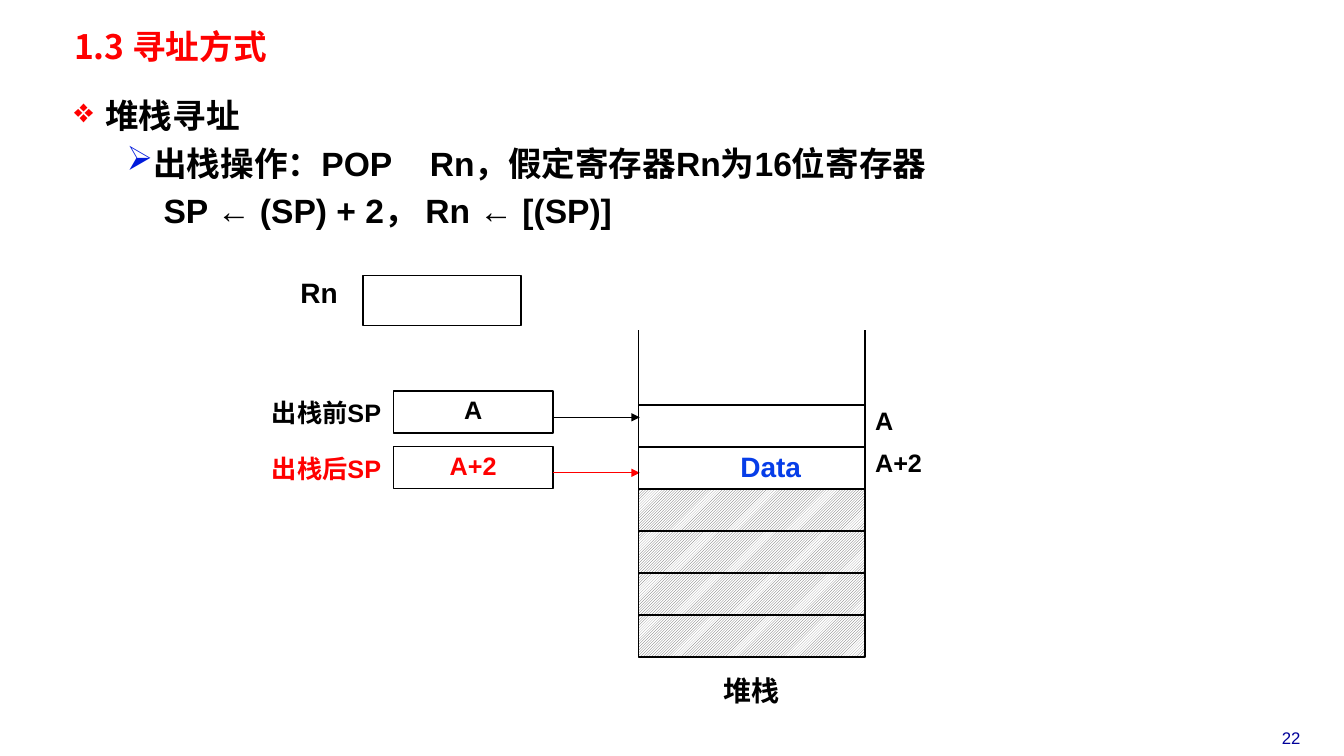
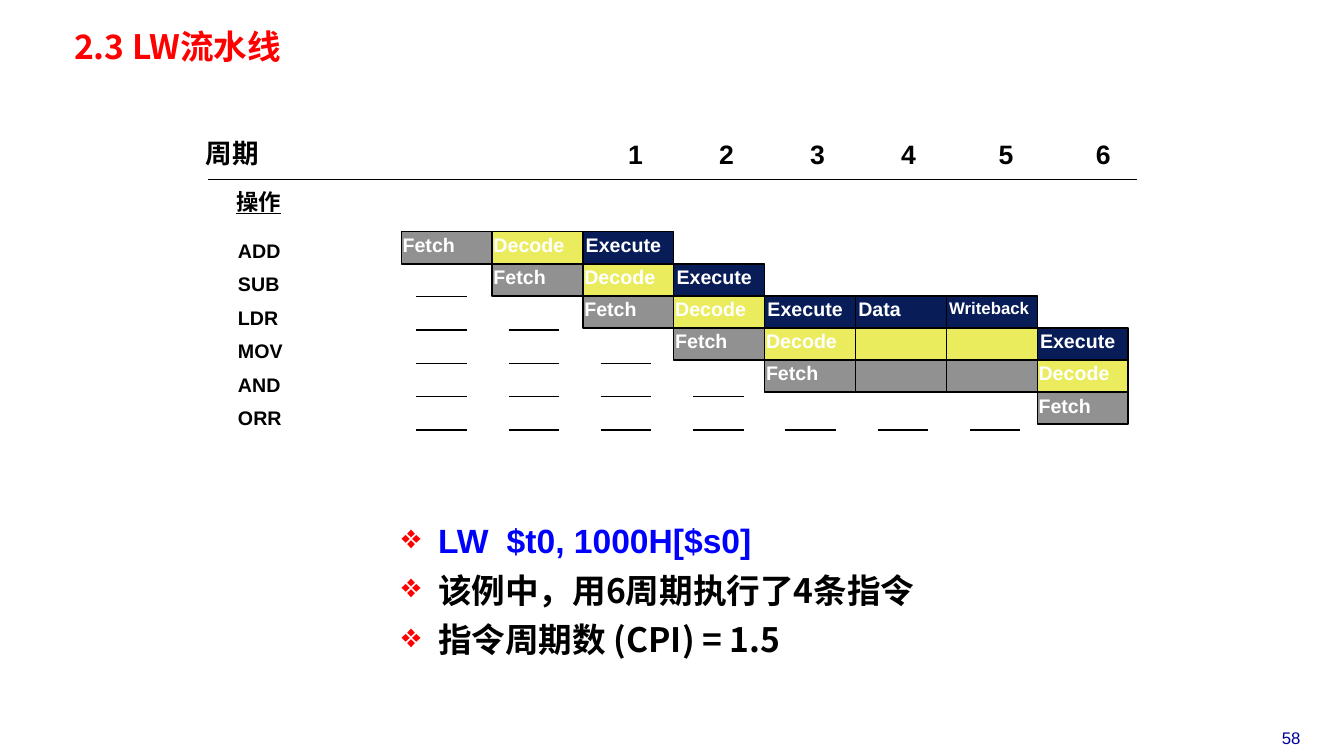
"""Build two lecture slides: stack addressing and the LW pipeline."""
from lxml.etree import SubElement
from pptx import Presentation
from pptx.dml.color import RGBColor
from pptx.enum.dml import MSO_PATTERN as PATTERN
from pptx.enum.shapes import MSO_CONNECTOR as CONNECTOR, MSO_SHAPE as SHAPE
from pptx.enum.text import MSO_ANCHOR as ANCHOR, PP_ALIGN as ALIGN
from pptx.oxml.ns import qn
from pptx.util import Pt

COLORS = {
    "black": "000000", "white": "FFFFFF", "red": "FF0000", "blue": "0000FF",
    "data": "063DE8", "arrow_bullet": "001ADC", "footer": "000099",
    "hatch": "5F5F5F", "gray": "919191", "yellow": "EAEC5E", "navy": "081D58",
}
RGB = {name: RGBColor.from_string(value) for name, value in COLORS.items()}
LATIN, CHINESE = "Arial", "Noto Sans CJK SC"
CENTERED = {"align": ALIGN.CENTER}
TIGHT = {"margins": (5, 2, 5, 2), "spacing": 0.88}
TITLE = TIGHT | {"size": 24, "color": "red", "font": CHINESE}
FOOTER = CENTERED | {"size": 12, "color": "footer", "bold": False, "spacing": 1.0}


def add_box(slide, bounds, paragraphs=(), fill=None, outline=False, **style):
    """Add a text box, or a rectangle when outlined; return the shape."""
    bounds = [Pt(value) for value in bounds]
    if outline:
        shape = slide.shapes.add_shape(SHAPE.RECTANGLE, *bounds)
        shape.shadow.inherit = False
        shape.line.color.rgb = RGB["black"]
        shape.line.width = Pt(1)
        shape.fill.background()
        if fill:
            shape.fill.solid()
            shape.fill.fore_color.rgb = RGB[fill]
    else:
        shape = slide.shapes.add_textbox(*bounds)
    frame = shape.text_frame
    left, top, right, bottom = style.get("margins", (7.2, 3.6, 7.2, 3.6))
    frame_format = {
        "margin_left": Pt(left), "margin_top": Pt(top),
        "margin_right": Pt(right), "margin_bottom": Pt(bottom),
        "word_wrap": True, "vertical_anchor": style.get("anchor", ANCHOR.TOP),
    }
    for name, value in frame_format.items():
        setattr(frame, name, value)
    if isinstance(paragraphs, str):
        paragraphs = [{"text": paragraphs}] if paragraphs else []
    for index, item in enumerate(paragraphs):
        item = style | item
        paragraph = frame.add_paragraph() if index else frame.paragraphs[0]
        paragraph.alignment = item.get("align", ALIGN.LEFT)
        paragraph.line_spacing = item.get("spacing", 0.85)
        properties = paragraph._p.get_or_add_pPr()
        if "indent" in item:
            margin, first = item["indent"]
            properties.set("marL", str(Pt(margin)))
            properties.set("indent", str(Pt(first)))
        if "bullet" in item:
            symbol, bullet_color = item["bullet"]
            color = SubElement(properties, qn("a:buClr"))
            SubElement(color, qn("a:srgbClr"), val=COLORS[bullet_color])
            SubElement(properties, qn("a:buChar"), char=symbol)
        if "tab" in item:
            tabs = SubElement(properties, qn("a:tabLst"))
            SubElement(tabs, qn("a:tab"), pos=str(Pt(item["tab"])), algn="l")
        run = paragraph.add_run()
        run.text = item["text"]
        font_format = {
            "name": item.get("font", LATIN), "size": Pt(item["size"]),
            "bold": item.get("bold", True), "underline": item.get("underline"),
        }
        for name, value in font_format.items():
            setattr(run.font, name, value)
        run.font.color.rgb = RGB[item.get("color", "black")]
        SubElement(run._r.get_or_add_rPr(), qn("a:ea"), typeface=CHINESE)
    return shape


def add_line(slide, start, end, color="black", arrow=False):
    """Add a straight line, with an optional arrowhead at its end."""
    points = [Pt(value) for value in (*start, *end)]
    connector = slide.shapes.add_connector(CONNECTOR.STRAIGHT, *points)
    connector.line.color.rgb = RGB[color]
    connector.line.width = Pt(1)
    if arrow:
        SubElement(connector.get_or_add_ln(), qn("a:tailEnd"), type="triangle")
    SubElement(connector._element.spPr, qn("a:effectLst"))


presentation = Presentation()
presentation.slide_width, presentation.slide_height = Pt(960), Pt(540)
slides = []
for title, number in (("1.3 寻址方式", "22"), ("2.3 LW流水线", "58")):
    slide = presentation.slides.add_slide(presentation.slide_layouts[6])
    add_box(slide, (48, 20, 552, 30), title, **TITLE)
    add_box(slide, (888.5, 516, 67.7, 21.6), number, **FOOTER)
    slides.append(slide)
stack_slide, pipeline_slide = slides

add_box(stack_slide, (48, 60.4, 790, 107), [
    {"text": "堆栈寻址", "indent": (22.3, -22.3), "bullet": ("❖", "red")},
    {"text": "出栈操作：POP\tRn，假定寄存器Rn为16位寄存器", "tab": 254,
     "indent": (52.6, -15.1), "bullet": ("➢", "arrow_bullet")},
    {"text": "SP ← (SP) + 2， Rn ← [(SP)]", "indent": (63.8, 0)},
], size=24, margins=(5, 2, 5, 2), spacing=Pt(34.1))

add_box(stack_slide, (196.6, 196.6, 62.6, 28), "Rn", size=20, **CENTERED)
add_box(stack_slide, (259.2, 196.6, 113, 36), outline=True)

pointers = (("出栈前SP", "A", "black"), ("出栈后SP", "A+2", "red"))
for row, (label, address, color) in enumerate(pointers):
    top = 279.4 + 39.6 * row
    pointer = CENTERED | {"size": 18, "color": color}
    add_box(stack_slide, (185, top + 4.3, 96.5, 26), label, **pointer)
    add_box(stack_slide, (281, top, 114, 30), address, outline=True,
            anchor=ANCHOR.MIDDLE, **pointer)
    add_line(stack_slide, (395, top + 18.7), (457, top + 18.7), color, arrow=True)

stack_left, stack_top, stack_width, cell_height = 456, 289.4, 162, 30
stack_right = stack_left + stack_width
for row in range(6):
    top = stack_top + cell_height * row
    cell = add_box(stack_slide, (stack_left, top, stack_width, cell_height), outline=True)
    if row < len(pointers):
        add_box(stack_slide, (stack_right, top, 55, 26), pointers[row][1], size=18)
    else:
        cell.fill.patterned()
        cell.fill.pattern = PATTERN.LIGHT_UPWARD_DIAGONAL
        cell.fill.fore_color.rgb = RGB["hatch"]
        cell.fill.back_color.rgb = RGB["white"]
for x in (stack_left, stack_right):
    add_line(stack_slide, (x, stack_top + cell_height), (x, 235.5))
add_box(stack_slide, (508, 321.5, 85, 28), "Data", size=20, color="data", **CENTERED)
add_box(stack_slide, (stack_left, 481, stack_width, 28), "堆栈", size=20, **CENTERED)

add_box(pipeline_slide, (142, 98.6, 60, 24.5), "周期", size=19, **TIGHT)
add_box(pipeline_slide, (163.6, 134.6, 60, 21), "操作", size=16, underline=True, **TIGHT)
for cycle, center in enumerate((454, 519, 584, 649, 718.5, 788), 1):
    add_box(pipeline_slide, (center - 20, 98.6, 40, 28), str(cycle), size=19, **CENTERED)
add_line(pipeline_slide, (148.3, 128.2), (812.2, 128.2))

stage_fills = {"Fetch": "gray", "Decode": "yellow", "Execute": "navy",
               "Data": "navy", "Writeback": "navy"}
instructions = (
    ("ADD", 0, ("Fetch", "Decode", "Execute")),
    ("SUB", 1, ("Fetch", "Decode", "Execute")),
    ("LDR", 2, ("Fetch", "Decode", "Execute", "Data", "Writeback")),
    ("MOV", 3, ("Fetch", "Decode", "", "", "Execute")),
    ("AND", 4, ("Fetch", "", "", "Decode")),
    ("ORR", 7, ("Fetch",)),
)
for row, (operation, start, stages) in enumerate(instructions):
    label_top = 170.6 + 23.9 * row
    add_box(pipeline_slide, (165, label_top, 60, 19), operation, size=14, **TIGHT)
    for column in range(start):
        x, y = 297.4 + 65.9 * column, label_top + 17.2
        add_line(pipeline_slide, (x, y), (x + 36, y))
    fill = stage_fills["Fetch"]
    for column, stage in enumerate(stages, start):
        fill = stage_fills.get(stage, fill)
        bounds = (286.6 + 64.9 * column, 165.6 + 22.9 * row, 64.9, 22.9)
        inset = 2 if fill == "navy" else 1
        add_box(pipeline_slide, bounds, stage, fill, outline=True, color="white",
                size=12 if stage == "Writeback" else 14, margins=(inset, 3.6, 0, 0))

add_box(pipeline_slide, (282, 363, 487, 111), [
    {"text": "LW\t$t0, 1000H[$s0]", "tab": 75, "color": "blue", "font": LATIN},
    {"text": "该例中，用6周期执行了4条指令"},
    {"text": "指令周期数 (CPI) = 1.5"},
], size=24, font=CHINESE, margins=(5, 2, 5, 2), spacing=Pt(35.4),
    indent=(26, -26), bullet=("❖", "red"))

presentation.save("out.pptx")
